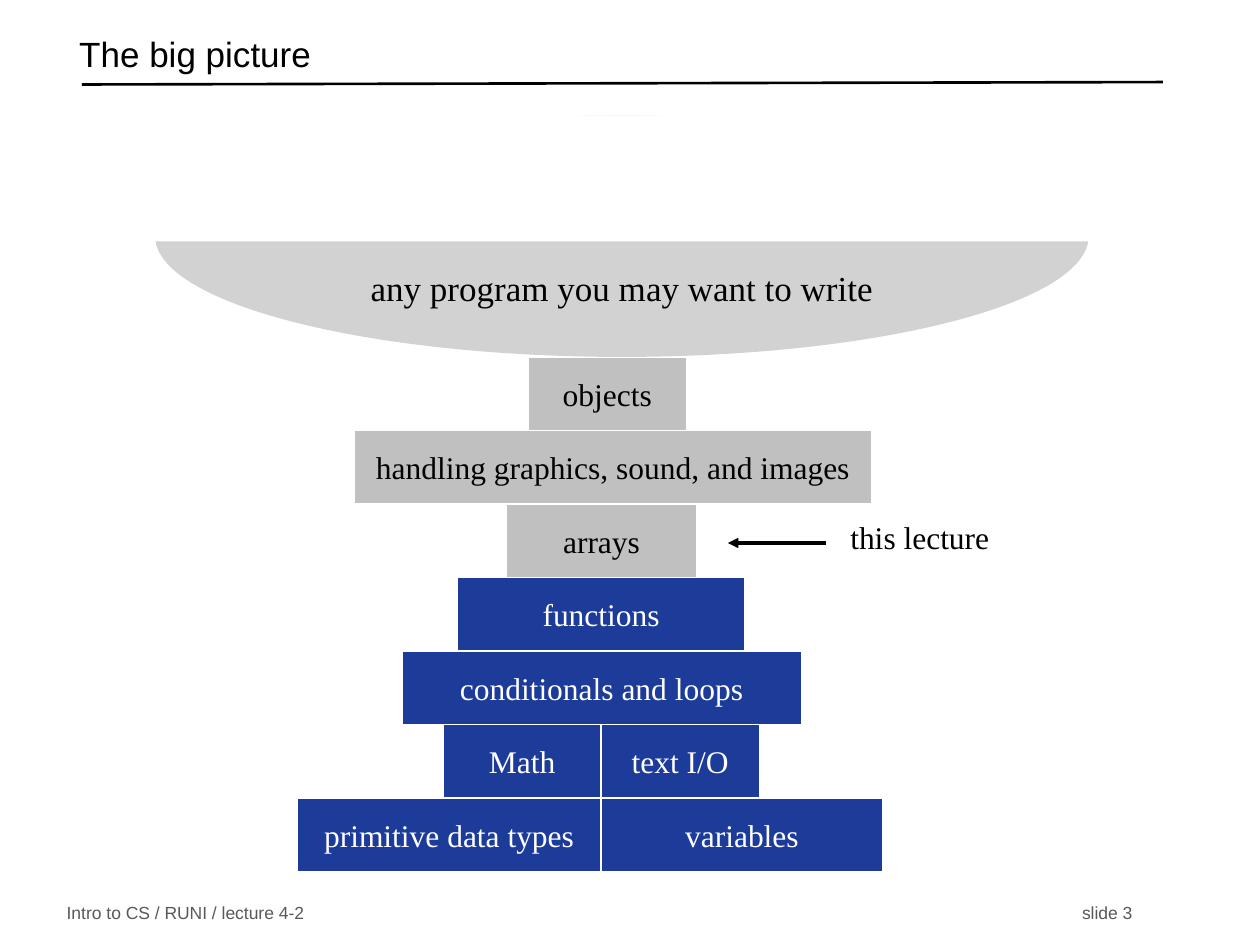
from dataclasses import dataclass
from typing import NamedTuple

from lxml.etree import SubElement
from pptx import Presentation
from pptx.dml.color import RGBColor as RGB
from pptx.enum.shapes import MSO_CONNECTOR as Conn, MSO_SHAPE as Kind
from pptx.enum.text import MSO_ANCHOR as Anchor, PP_ALIGN as Align
from pptx.oxml.ns import qn
from pptx.util import Pt


@dataclass(frozen=True)
class Theme:
    sans: str = "Arial"
    serif: str = "Times New Roman"
    black: RGB = RGB(0, 0, 0)
    white: RGB = RGB(255, 255, 255)
    blue: RGB = RGB(0x1D, 0x3C, 0x99)
    gray: RGB = RGB(0xC0, 0xC0, 0xC0)
    bowl: RGB = RGB(0xA6, 0xA6, 0xA6)
    foot: RGB = RGB(0x59, 0x59, 0x59)
    big: float = 20
    mid: float = 18
    small: float = 10


class Box(NamedTuple):
    left: float
    top: float
    width: float
    height: float


class Block(NamedTuple):
    text: str
    row: int
    left: float
    width: float
    done: bool  # already taught


T = Theme()
TOP, STEP = 204, 42
SPLIT = 343.4  # shared edge of the paired blocks
BLOCKS = [
    Block("objects", 0, 301.7, 90.7, False),
    Block("handling graphics, sound, and images", 1, 202.3, 296, False),
    Block("arrays", 2, 289.4, 108.7, False),
    Block("functions", 3, 261.4, 164.2, True),
    Block("conditionals and loops", 4, 229.7, 228.2, True),
    Block("Math", 5, SPLIT - 90, 90, True),
    Block("text I/O", 5, SPLIT, 90.7, True),
    Block("primitive data types", 6, SPLIT - 173.5, 173.5, True),
    Block("variables", 6, SPLIT, 161.3, True),
]


def write(shape, text: str, face: str, size: float, color: RGB,
          align=Align.LEFT, anchor=Anchor.MIDDLE, wrap=True, tab=0):
    """Fill a shape with one paragraph; tab is a right tab stop in points."""
    frame = shape.text_frame
    frame.word_wrap = wrap
    frame.vertical_anchor = anchor
    para = frame.paragraphs[0]
    para.text = text
    para.alignment = align
    if tab:
        tabs = SubElement(para._p.get_or_add_pPr(), qn("a:tabLst"))
        SubElement(tabs, qn("a:tab"), pos=str(Pt(tab)), algn="r")
    font = para.font
    font.name, font.size = face, Pt(size)
    font.color.rgb = color
    return para


def label(slide, box: Box, *args, **opts):
    return write(slide.shapes.add_textbox(*map(Pt, box)), *args, **opts)


def solid(slide, kind: Kind, box: Box, fill: RGB, edge: float = 0):
    shape = slide.shapes.add_shape(kind, *map(Pt, box))
    shape.shadow.inherit = False
    shape.fill.solid()
    shape.fill.fore_color.rgb = fill
    if edge:
        shape.line.color.rgb = T.white
        shape.line.width = Pt(edge)
    else:
        shape.line.fill.background()
    return shape


def rule(slide, x1: float, y1: float, x2: float, y2: float,
         width: float, arrow: bool = False) -> None:
    line = slide.shapes.add_connector(Conn.STRAIGHT, *map(Pt, (x1, y1, x2, y2)))
    line.line.color.rgb = T.black
    line.line.width = Pt(width)
    if arrow:
        SubElement(line.line._get_or_add_ln(), qn("a:tailEnd"), type="triangle")
    SubElement(line._element.spPr, qn("a:effectLst"))


def stack(slide, block: Block) -> None:
    box = Box(block.left, TOP + block.row * STEP, block.width, STEP)
    shape = solid(slide, Kind.RECTANGLE, box, T.blue if block.done else T.gray, 0.75)
    write(shape, block.text, T.serif, T.mid, T.white if block.done else T.black,
          align=Align.CENTER, wrap=False)


def bowl(slide) -> None:
    """Draw a half-clear ellipse whose upper half is masked in white."""
    shape = solid(slide, Kind.OVAL, Box(88.6, 66, 533.5, 138), T.bowl)
    tint = shape.fill._xPr.find(qn("a:solidFill"))[0]
    SubElement(tint, qn("a:alpha"), val="50000")
    write(shape, "any program you may want to write", T.serif, T.big, T.black,
          align=Align.CENTER, wrap=False)
    shape.text_frame.margin_top = Pt(59)
    shape.text_frame.margin_bottom = 0
    solid(slide, Kind.RECTANGLE, Box(12, 66, 696, 72), T.white)


def main() -> None:
    deck = Presentation()
    deck.slide_width, deck.slide_height = Pt(720), Pt(540)
    slide = deck.slides.add_slide(deck.slide_layouts[6])
    rule(slide, 46.8, 48.3, 664.5, 46.9, 1.5)
    label(slide, Box(31, 514, 627, 15), "Intro to CS / RUNI / lecture 4-2\tslide 3",
          T.sans, T.small, T.foot, tab=609)
    title = label(slide, Box(38.2, 15.8, 619.2, 36), "The big picture",
                  T.sans, T.big, T.black)
    title.line_spacing = 0.7
    for block in BLOCKS:
        stack(slide, block)
    bowl(slide)
    label(slide, Box(478.8, 292.3, 129, 29), "this lecture",
          T.serif, T.mid, T.black, anchor=Anchor.TOP)
    rule(slide, 472.3, 310.3, 416, 310.3, 1.75, arrow=True)
    deck.save("out.pptx")


if __name__ == "__main__":
    main()
